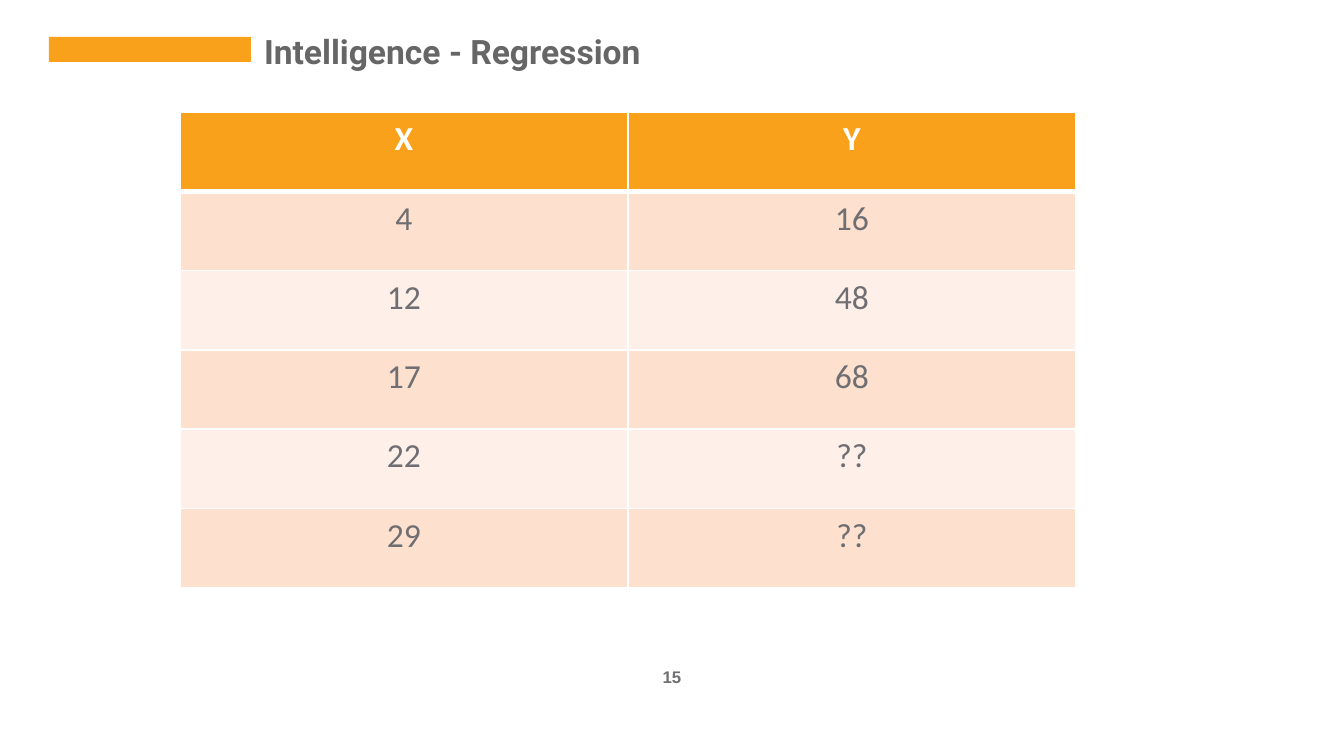
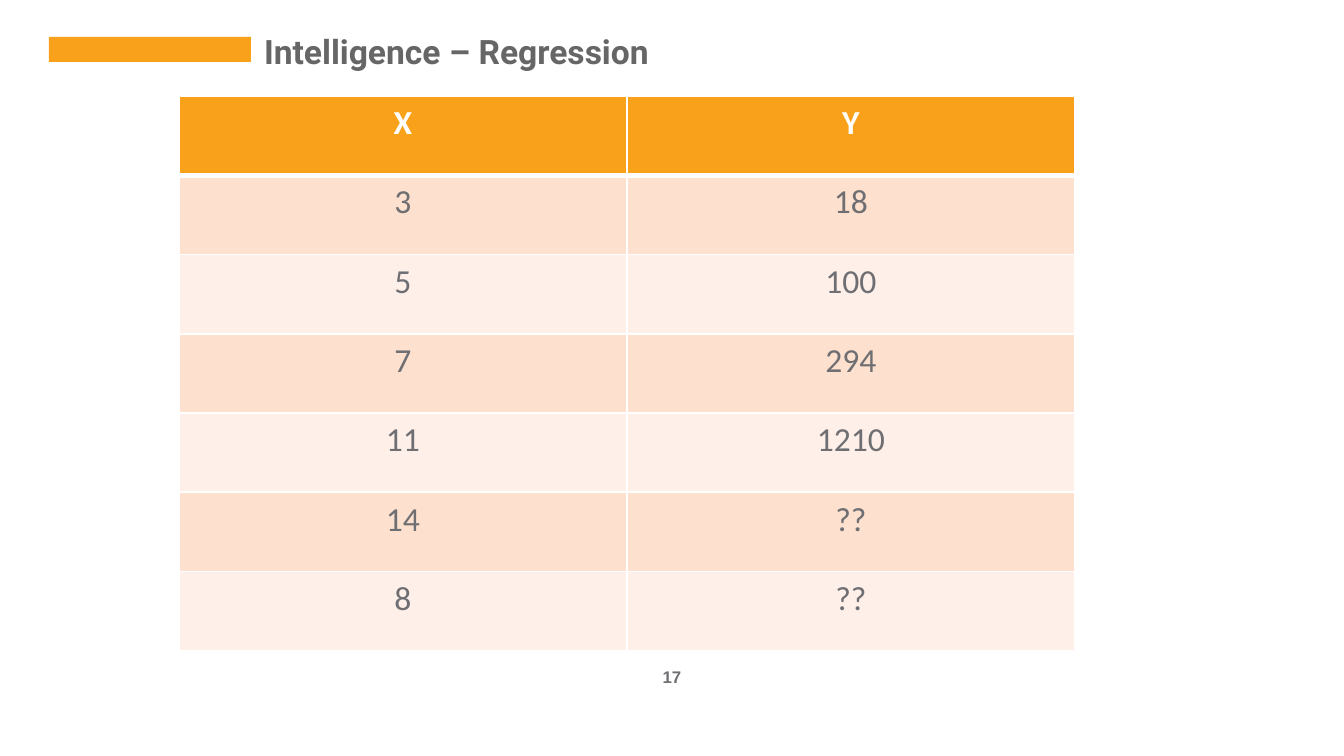
from lxml import etree
from pptx import Presentation
from pptx.dml.color import RGBColor
from pptx.enum.shapes import MSO_SHAPE
from pptx.enum.text import MSO_ANCHOR, MSO_AUTO_SIZE, PP_ALIGN
from pptx.oxml.ns import qn
from pptx.util import Emu, Pt

SLIDES = [
    {
        "title": "Intelligence - Regression",
        "number": "15",
        "table_at": (180, 112),
        "rows": [("X", "Y"), ("4", "16"), ("12", "48"), ("17", "68"),
                 ("22", "??"), ("29", "??")],
    },
    {
        "title": "Intelligence – Regression",
        "number": "17",
        "table_at": (179, 96),
        "rows": [("X", "Y"), ("3", "18"), ("5", "100"), ("7", "294"),
                 ("11", "1210"), ("14", "??"), ("8", "??")],
    },
]

ORANGE = RGBColor(0xF9, 0xA1, 0x1A)
PEACH = RGBColor(0xFD, 0xE0, 0xCD)
PALE_PEACH = RGBColor(0xFE, 0xF0, 0xE8)
TITLE_GREY = RGBColor(0x66, 0x66, 0x66)
TEXT_GREY = RGBColor(0x6F, 0x6F, 0x73)
WHITE = RGBColor(0xFF, 0xFF, 0xFF)

RECTANGLE = MSO_SHAPE.RECTANGLE
MIDDLE = MSO_ANCHOR.MIDDLE
NO_FIT = MSO_AUTO_SIZE.NONE
LEFT, CENTER = PP_ALIGN.LEFT, PP_ALIGN.CENTER

PX_PER_INCH = 134.4
SLIDE_SIZE = (1344, 756)
BAR_BOX = (49, 37, 202, 25)
TITLE_BOX = (251, 28, 1020, 46)
NUMBER_BOX = (571, 660, 202, 34)
TITLE_INSET = 13
COLUMN_WIDTH = 448
ROW_HEIGHT = 79.3
THIN, THICK = Pt(1), Pt(3)


def px(length):
    return Emu(round(length * 914400 / PX_PER_INCH))


def box(lengths):
    return [px(length) for length in lengths]


def format_text(frame, font_name, size, color, bold, align):
    paragraph = frame.paragraphs[0]
    paragraph.alignment = align
    font = paragraph.runs[0].font
    font.name = font_name
    font.size = Pt(size)
    font.bold = bold
    font.color.rgb = color


def add_bar(slide):
    bar = slide.shapes.add_shape(RECTANGLE, *box(BAR_BOX))
    bar.shadow.inherit = False
    bar.fill.solid()
    bar.fill.fore_color.rgb = ORANGE
    bar.line.fill.background()


def set_title(slide, text):
    title = slide.shapes.title
    title.left, title.top, title.width, title.height = box(TITLE_BOX)
    frame = title.text_frame
    frame.text = text
    frame.auto_size = NO_FIT
    frame.word_wrap = True
    frame.vertical_anchor = MIDDLE
    frame.margin_left = frame.margin_right = px(TITLE_INSET)
    frame.margin_top = frame.margin_bottom = px(TITLE_INSET)
    format_text(frame, "Roboto", 18, TITLE_GREY, True, LEFT)


def add_number(slide, number):
    frame = slide.shapes.add_textbox(*box(NUMBER_BOX)).text_frame
    frame.word_wrap = True
    frame.text = number
    format_text(frame, "Arial", 9, TEXT_GREY, True, CENTER)


def set_borders(cell, top, bottom):
    widths = {"a:lnL": THIN, "a:lnR": THIN, "a:lnT": top, "a:lnB": bottom}
    properties = cell._tc.get_or_add_tcPr()
    for position, (side, width) in enumerate(widths.items()):
        line = etree.Element(qn(side), w=str(width))
        fill = etree.SubElement(line, qn("a:solidFill"))
        etree.SubElement(fill, qn("a:srgbClr"), val=str(WHITE))
        properties.insert(position, line)


def add_value_table(slide, rows, corner):
    size = (COLUMN_WIDTH * len(rows[0]), ROW_HEIGHT * len(rows))
    table = slide.shapes.add_table(
        len(rows), len(rows[0]), *box(corner + size)).table
    for column in table.columns:
        column.width = px(COLUMN_WIDTH)
    for r, values in enumerate(rows):
        table.rows[r].height = px(ROW_HEIGHT)
        header = r == 0
        fill = ORANGE if header else PEACH if r % 2 else PALE_PEACH
        for c, value in enumerate(values):
            cell = table.cell(r, c)
            cell.text_frame.text = value
            format_text(cell.text_frame, "Calibri", 18,
                        WHITE if header else TEXT_GREY, header, CENTER)
            cell.fill.solid()
            cell.fill.fore_color.rgb = fill
            set_borders(cell, THICK if r == 1 else THIN,
                        THICK if header else THIN)


def main():
    deck = Presentation()
    deck.slide_width, deck.slide_height = box(SLIDE_SIZE)
    title_only = deck.slide_layouts[5]
    for content in SLIDES:
        slide = deck.slides.add_slide(title_only)
        add_bar(slide)
        add_number(slide, content["number"])
        set_title(slide, content["title"])
        add_value_table(slide, content["rows"], content["table_at"])
    deck.save("out.pptx")


if __name__ == "__main__":
    main()
